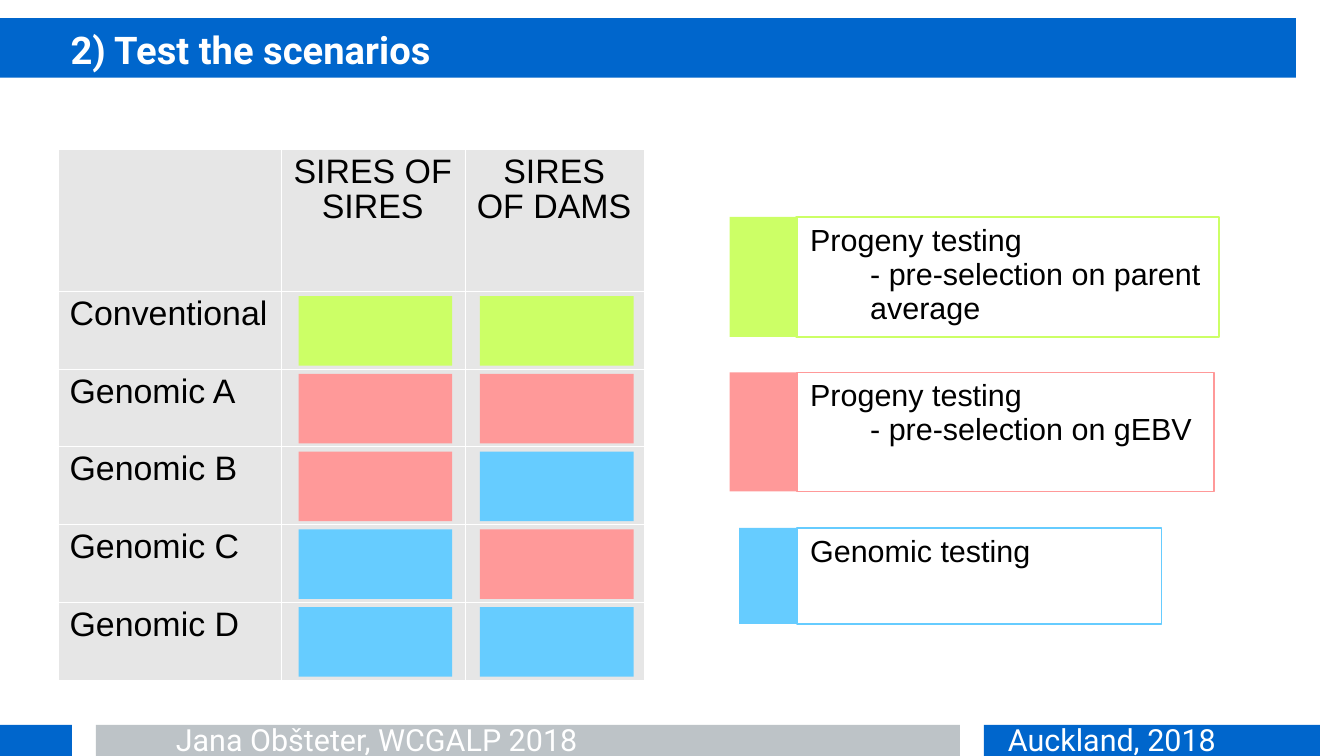
from dataclasses import dataclass

from lxml.etree import SubElement
from pptx import Presentation
from pptx.dml.color import RGBColor
from pptx.enum.shapes import MSO_SHAPE
from pptx.enum.text import MSO_ANCHOR, MSO_AUTO_SIZE, PP_ALIGN
from pptx.oxml.ns import qn
from pptx.shapes.autoshape import Shape
from pptx.slide import Slide
from pptx.table import _Cell
from pptx.text.text import TextFrame
from pptx.util import Cm, Pt

WHITE = RGBColor(0xFF, 0xFF, 0xFF)
BLACK = RGBColor(0x00, 0x00, 0x00)
BLUE = RGBColor(0x00, 0x66, 0xCC)
SILVER = RGBColor(0xBD, 0xC3, 0xC7)
CELL_GREY = RGBColor(0xE6, 0xE6, 0xE6)
GREEN = RGBColor(0xCC, 0xFF, 0x66)
PINK = RGBColor(0xFF, 0x99, 0x99)
SKY = RGBColor(0x66, 0xCC, 0xFF)

ROW_PITCH = 1.62
LEGEND_PITCH = 3.24
FOOTER_TOP = 15.1


@dataclass(frozen=True)
class Area:
    left: float
    top: float
    width: float
    height: float


@dataclass(frozen=True)
class TextStyle:
    font: str
    size: float
    color: RGBColor
    bold: bool = False
    align: PP_ALIGN = PP_ALIGN.LEFT


@dataclass(frozen=True)
class Scenario:
    name: str
    sires_of_sires: RGBColor
    sires_of_dams: RGBColor


@dataclass(frozen=True)
class LegendEntry:
    color: RGBColor
    swatch_left: float
    frame_width: float
    height: float
    line_width: float
    heading: str
    detail: str = ""


TITLE_STYLE = TextStyle("Roboto", 22.5, WHITE, bold=True)
DATE_STYLE = TextStyle("Roboto", 18, WHITE)
AUTHOR_STYLE = TextStyle("Roboto", 18, WHITE, align=PP_ALIGN.CENTER)
HEADER_STYLE = TextStyle("Arial", 20, BLACK, align=PP_ALIGN.CENTER)
CELL_STYLE = TextStyle("Arial", 20, BLACK)
LEGEND_STYLE = TextStyle("Arial", 18, BLACK)

HEADERS = ["", "SIRES OF\vSIRES", "SIRES OF DAMS"]
SCENARIOS = [
    Scenario("Conventional", GREEN, GREEN),
    Scenario("Genomic A", PINK, PINK),
    Scenario("Genomic B", PINK, SKY),
    Scenario("Genomic C", SKY, PINK),
    Scenario("Genomic D", SKY, SKY),
]
LEGEND = [
    LegendEntry(GREEN, 15.2, 8.8, 2.5, 1.5, "Progeny testing",
                "- pre-selection on parent average"),
    LegendEntry(PINK, 15.2, 8.7, 2.48, 1, "Progeny testing", "- pre-selection on gEBV"),
    LegendEntry(SKY, 15.4, 7.6, 2, 1, "Genomic testing"),
]


def lengths(area: Area) -> tuple[Cm, Cm, Cm, Cm]:
    return Cm(area.left), Cm(area.top), Cm(area.width), Cm(area.height)


def write(frame: TextFrame, text: str, style: TextStyle) -> None:
    frame.text = text
    for para in frame.paragraphs:
        para.alignment = style.align
        para.line_spacing = 0.93
        para.space_before = Pt(0)
        for span in para.runs:
            span.font.name = style.font
            span.font.size = Pt(style.size)
            span.font.bold = style.bold
            span.font.color.rgb = style.color


def set_margins(frame: TextFrame, side: float, top: float, bottom: float) -> None:
    frame.margin_left = frame.margin_right = Cm(side)
    frame.margin_top, frame.margin_bottom = Cm(top), Cm(bottom)
    frame.word_wrap = True


def add_block(page: Slide, area: Area, color: RGBColor) -> Shape:
    block = page.shapes.add_shape(MSO_SHAPE.RECTANGLE, *lengths(area))
    block.shadow.inherit = False
    block.fill.solid()
    block.fill.fore_color.rgb = color
    block.line.fill.background()
    return block


def add_footer_text(page: Slide, area: Area, text: str, style: TextStyle) -> None:
    frame = page.shapes.add_textbox(*lengths(area)).text_frame
    set_margins(frame, 0, 0.05, 0)
    frame.vertical_anchor = MSO_ANCHOR.MIDDLE
    write(frame, text, style)


def set_title(page: Slide, text: str) -> None:
    title = page.shapes.title
    title.left, title.top, title.width, title.height = lengths(Area(1.47, 0.53, 15.5, 1))
    frame = title.text_frame
    set_margins(frame, 0, 0.08, 0)
    frame.auto_size = MSO_AUTO_SIZE.NONE
    frame.vertical_anchor = MSO_ANCHOR.MIDDLE
    write(frame, text, TITLE_STYLE)


def format_cell(cell: _Cell, text: str, style: TextStyle) -> None:
    cell.margin_left = cell.margin_right = Cm(0.25)
    cell.margin_top = cell.margin_bottom = Cm(0.13)
    write(cell.text_frame, text, style)
    properties = cell._tc.get_or_add_tcPr()
    for side in ("a:lnL", "a:lnR", "a:lnT", "a:lnB"):
        border = SubElement(properties, qn(side), w="720")
        solid = SubElement(border, qn("a:solidFill"))
        SubElement(solid, qn("a:srgbClr"), val=str(WHITE))
    cell.fill.solid()
    cell.fill.fore_color.rgb = CELL_GREY


def add_scenario_table(page: Slide) -> None:
    widths = [4.65, 3.83, 3.73]
    area = Area(1.2, 3.11, sum(widths), 2.95 + ROW_PITCH * len(SCENARIOS))
    table = page.shapes.add_table(len(SCENARIOS) + 1, len(widths), *lengths(area)).table
    table.first_row = table.horz_banding = False
    for column, width in zip(table.columns, widths):
        column.width = Cm(width)
    for index, row in enumerate(table.rows):
        row.height = Cm(ROW_PITCH if index else 2.95)
    rows = [HEADERS] + [[scenario.name, "", ""] for scenario in SCENARIOS]
    for row_index, texts in enumerate(rows):
        style = CELL_STYLE if row_index else HEADER_STYLE
        for column_index, text in enumerate(texts):
            format_cell(table.cell(row_index, column_index), text, style)


def add_legend_entry(page: Slide, entry: LegendEntry, top: float) -> None:
    frame_left = 16.6
    swatch_width = frame_left - entry.swatch_left
    add_block(page, Area(entry.swatch_left, top, swatch_width, entry.height), entry.color)
    box = add_block(page, Area(frame_left, top, entry.frame_width, entry.height), WHITE)
    box.fill.background()
    box.line.color.rgb = entry.color
    box.line.width = Pt(entry.line_width)
    frame = box.text_frame
    set_margins(frame, 0.28, 0.15, 0.15)
    frame.vertical_anchor = MSO_ANCHOR.TOP
    write(frame, "\n".join(filter(None, (entry.heading, entry.detail))), LEGEND_STYLE)
    for para in frame.paragraphs[1:]:
        para._p.get_or_add_pPr().set("marL", str(Cm(1.25)))


def main() -> None:
    deck = Presentation()
    deck.slide_width, deck.slide_height = Cm(28), Cm(15.75)
    page = deck.slides.add_slide(deck.slide_layouts[5])

    # Title band and footer
    add_block(page, Area(0, 0.38, 27, 1.24), BLUE)
    for left, width, color in ((20.5, 7, BLUE), (2, 18, SILVER), (0, 1.5, BLUE)):
        add_block(page, Area(left, FOOTER_TOP, width, 0.65), color)
    add_footer_text(page, Area(21, FOOTER_TOP, 6, 0.65), "Auckland, 2018", DATE_STYLE)
    add_footer_text(page, Area(-2.8, FOOTER_TOP, 21.3, 0.65),
                    "Jana Obšteter, WCGALP 2018", AUTHOR_STYLE)
    set_title(page, "2) Test the scenarios")
    band_tree = page.shapes._spTree
    band_tree.append(page.shapes.title._element)

    # Scenario table, then its legend
    add_scenario_table(page)
    for index, entry in enumerate(LEGEND):
        add_legend_entry(page, entry, 4.52 + index * LEGEND_PITCH)

    # Coloured marks on the table
    for index, scenario in enumerate(SCENARIOS):
        top = 6.17 + index * ROW_PITCH
        add_block(page, Area(6.22, top, 3.2, 1.45), scenario.sires_of_sires)
        add_block(page, Area(10, top, 3.2, 1.45), scenario.sires_of_dams)

    deck.save("out.pptx")


if __name__ == "__main__":
    main()
